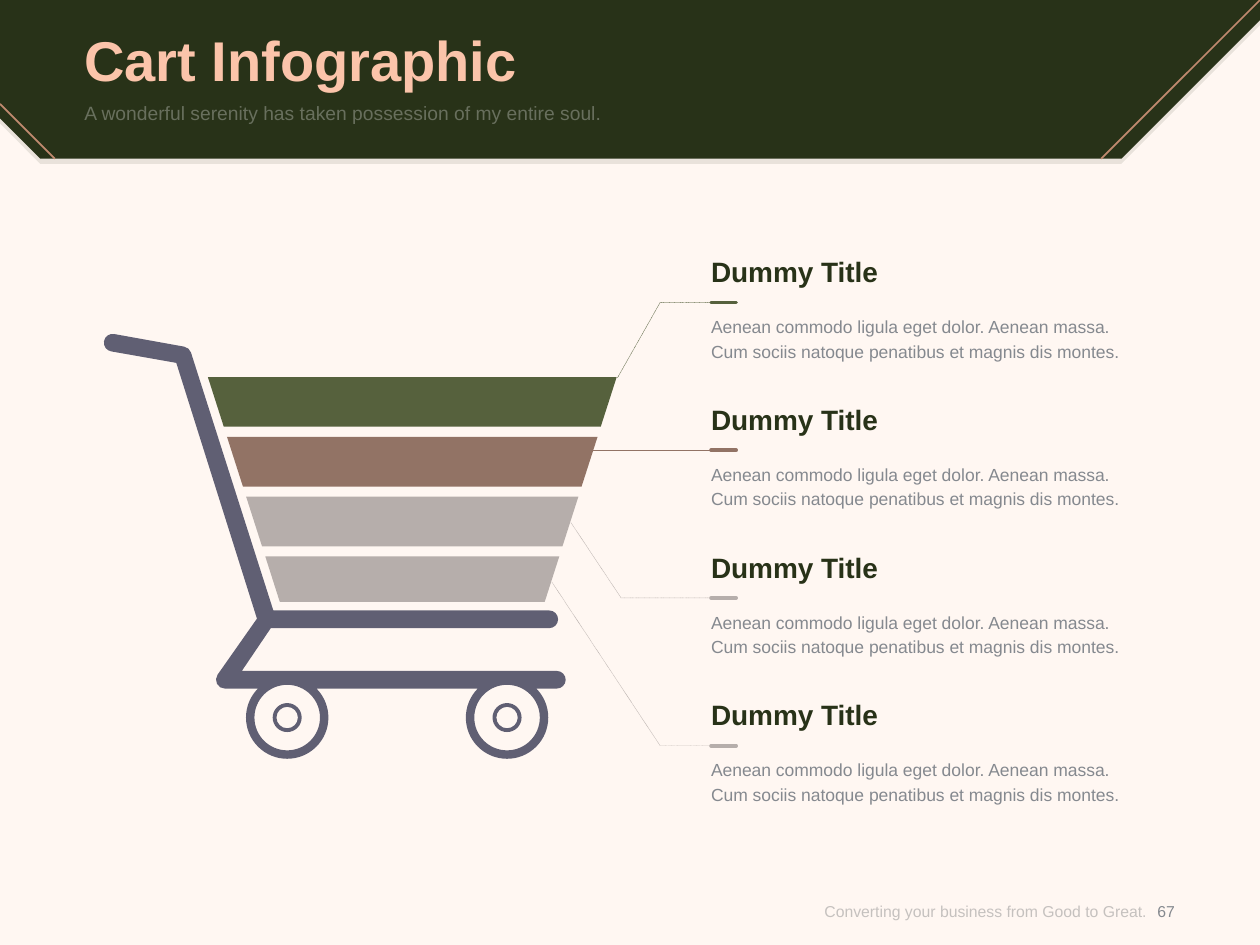
import math
import pptx
import pptx.dml.color
import pptx.enum.dml
import pptx.enum.shapes
import pptx.enum.text
import pptx.oxml
import pptx.oxml.ns
import pptx.util

DARK, PEACH, COPPER, SLATE, GREY = "283218", "FBC4AA", "BF896E", "605F73", "85898F"
BAND_COLORS = ["56613D", "927365", "B6AEAB", "B6AEAB"]


def make(tag, attributes=""):
    return pptx.oxml.parse_xml(f'<a:{tag} {pptx.oxml.ns.nsdecls("a")} {attributes}/>')


def paint(fill, color, alpha=None):
    fill.solid()
    fill.fore_color.rgb = pptx.dml.color.RGBColor.from_string(color)
    if alpha is not None:
        node = fill._xPr.find(".//" + pptx.oxml.ns.qn("a:srgbClr"))
        node.append(make("alpha", f'val="{alpha * 1000}"'))


def arc(x, y, radius, start, end):
    count = math.ceil((end - start) / 90)
    step = math.radians((end - start) / count)
    pull = 4 / 3 * math.tan(step / 4)

    def point(angle, tangent=0):
        return (x + radius * (math.cos(angle) - tangent * math.sin(angle)),
                y + radius * (math.sin(angle) + tangent * math.cos(angle)))

    angles = [math.radians(start) + i * step for i in range(count + 1)]
    curves = [(point(a, pull), point(b, -pull), point(b)) for a, b in zip(angles, angles[1:])]
    return [point(angles[0])] + curves


def is_curve(part):
    return len(part) == 3


class Deck:
    columns, rows = 100, 75
    font = "Arial"

    def __init__(self, background):
        self.prs = pptx.Presentation()
        self.prs.slide_width = pptx.util.Inches(10)
        self.prs.slide_height = pptx.util.Inches(7.5)
        self.slide = self.prs.slides.add_slide(self.prs.slide_layouts[6])
        paint(self.slide.background.fill, background)

    def place(self, column, row):
        return (round(self.prs.slide_width * column / self.columns),
                round(self.prs.slide_height * row / self.rows))

    def stroke(self, line, color, width, dashed, rounded=False):
        paint(line.fill, color)
        line.width = pptx.util.Pt(width)
        if dashed:
            line.dash_style = pptx.enum.dml.MSO_LINE.ROUND_DOT
        if rounded:
            line.fill._xPr.set("cap", "rnd")

    def outline(self, contours, closed):
        builder = None
        for start, *parts in contours:
            if builder is None:
                builder = self.slide.shapes.build_freeform(*self.place(*start))
            else:
                builder.move_to(*self.place(*start))
            points = [p for part in parts for p in (part if is_curve(part) else [part])]
            builder.add_line_segments([self.place(*p) for p in points], close=closed)
        shape = builder.convert_to_shape()
        shape.shadow.inherit = False
        self.bend(shape, [part for contour in contours for part in contour[1:]])
        return shape

    def bend(self, shape, parts):
        segments = iter(shape._element.findall(".//" + pptx.oxml.ns.qn("a:lnTo")))
        for part in parts:
            segment = next(segments)
            if is_curve(part):
                curve = make("cubicBezTo")
                segment.addprevious(curve)
                for piece in (segment, next(segments), next(segments)):
                    curve.append(piece[0])
                    piece.getparent().remove(piece)

    def area(self, color, *contours, alpha=None):
        shape = self.outline(contours, True)
        paint(shape.fill, color, alpha)
        shape.line.fill.background()

    def polyline(self, color, width, points, dashed=False):
        shape = self.outline([points], False)
        shape.fill.background()
        self.stroke(shape.line, color, width, dashed)

    def line(self, color, width, start, end, dashed=False, rounded=False):
        connector = self.slide.shapes.add_connector(
            pptx.enum.shapes.MSO_CONNECTOR.STRAIGHT, *self.place(*start), *self.place(*end))
        self.stroke(connector.line, color, width, dashed, rounded)
        connector._element.spPr.append(make("effectLst"))

    def text(self, box, lines, size, color, alpha=None, bold=False,
             align="LEFT", anchor="TOP", spacing=None):
        frame = self.slide.shapes.add_textbox(
            *self.place(*box[:2]), *self.place(*box[2:])).text_frame
        frame.word_wrap = True
        frame.margin_left = frame.margin_right = frame.margin_top = frame.margin_bottom = 0
        frame.vertical_anchor = pptx.enum.text.MSO_ANCHOR[anchor]
        for i, words in enumerate(lines):
            paragraph = frame.add_paragraph() if i else frame.paragraphs[0]
            paragraph.alignment = pptx.enum.text.PP_ALIGN[align]
            if spacing:
                paragraph.line_spacing = pptx.util.Pt(spacing)
            run = paragraph.add_run()
            run.text = words
            run.font.name = self.font
            run.font.size = pptx.util.Pt(size)
            run.font.bold = bold
            paint(run.font.fill, color, alpha)


def draw_header(deck):
    banner = [(0, 0), (100, 0), (100, 1.6), (89, 12.6), (3.2, 12.6), (0, 9.4)]
    deck.area(DARK, [(x, y + 0.4) for x, y in banner], alpha=10)
    deck.area(DARK, banner)
    deck.line(COPPER, 1, (100, 0), (87.4, 12.6))
    deck.polyline(COPPER, 1, [(4.35, 12.6), (0, 8.25)])
    deck.text((6.7, 1.4, 86.6, 6.5), ["Cart Infographic"], 32, PEACH,
              bold=True, anchor="MIDDLE")
    deck.text((6.7, 8, 86.6, 3.9),
              ["A wonderful serenity has taken possession of my entire soul."],
              11, "FFFFFF", alpha=30)


def draw_footer(deck):
    deck.text((60.4, 69.6, 30.6, 5.4), ["Converting your business from Good to Great."],
              9, "8C8C8C", alpha=50, align="RIGHT", anchor="MIDDLE")
    deck.text((90.2, 69.6, 4.7, 5.4), ["67"], 9, GREY, align="CENTER", anchor="MIDDLE")


def draw_bands(deck):
    first, pitch, slope = 29.92, 4.75, 0.32
    for i, (color, height) in enumerate(zip(BAND_COLORS, [3.95, 3.95, 3.95, 3.6])):
        top = first + i * pitch
        inset, low_inset = i * pitch * slope, (i * pitch + height) * slope
        deck.area(color, [(48.95, top), (48.95 - low_inset, top + height),
                          (16.5 + low_inset, top + height), (16.5 + inset, top)]
                  if i == 0 else
                  [(48.95 - inset, top), (48.95 - low_inset, top + height),
                   (16.5 + low_inset, top + height), (16.5 + inset, top)])


def draw_cart(deck):
    wheels, axle = [40.25, 22.8], 56.95
    frame = arc(8.95, 27.2, 0.7, 99, 279) + arc(14.5, 28.2, 0.7, 279, 342)
    frame += [(21.7, 48.45)] + arc(43.6, 49.15, 0.7, -90, 90)
    frame += [(21.5, 49.85), (19.2, 53.25)] + arc(44.2, 53.95, 0.7, -90, 90)
    for wheel in wheels:
        frame += arc(wheel, axle, 3.27, -44.7, 224.7)
    frame += arc(17.85, 53.95, 0.7, 90, 215) + [(20.4, 49.1), (14, 28.8)]
    rings = [arc(wheel, axle, radius, 0, 360)
             for wheel in wheels for radius in (2.6, 1.15, 0.85)]
    deck.area(SLATE, frame, *rings)


def entry_levels():
    return [24 + i * 11.73 for i in range(len(BAND_COLORS))]


def draw_leaders(deck):
    bends = [[(52.4, 0), (49, 6)], [(47.1, 0)], [(49.3, 0), (45.3, -6)], [(52.4, 0), (43.8, -13)]]
    for color, level, bend in zip(BAND_COLORS, entry_levels(), bends):
        route = [(58.1, level)] + [(x, level + rise) for x, rise in bend]
        draw = deck.polyline
        if len(route) == 2:
            deck.line(color, 0.25, *route, dashed=True)
        else:
            draw(color, 0.25, route, dashed=True)


def draw_entries(deck):
    left = 56.43
    for color, level in zip(BAND_COLORS, entry_levels()):
        deck.text((left, level + 0.81, 36.9, 3.9),
                  ["Aenean commodo ligula eget dolor. Aenean massa.",
                   "Cum sociis natoque penatibus et magnis dis montes."],
                  10, GREY, spacing=14)
        deck.line(color, 2, (left, level), (left + 2, level), rounded=True)
        deck.text((left, level - 3.8, 36.9, 2.7), ["Dummy Title"], 16, DARK, bold=True)


def main():
    deck = Deck("FFF7F2")
    draw_header(deck)
    draw_footer(deck)
    draw_leaders(deck)
    draw_bands(deck)
    draw_cart(deck)
    draw_entries(deck)
    deck.prs.save("out.pptx")


if __name__ == "__main__":
    main()
